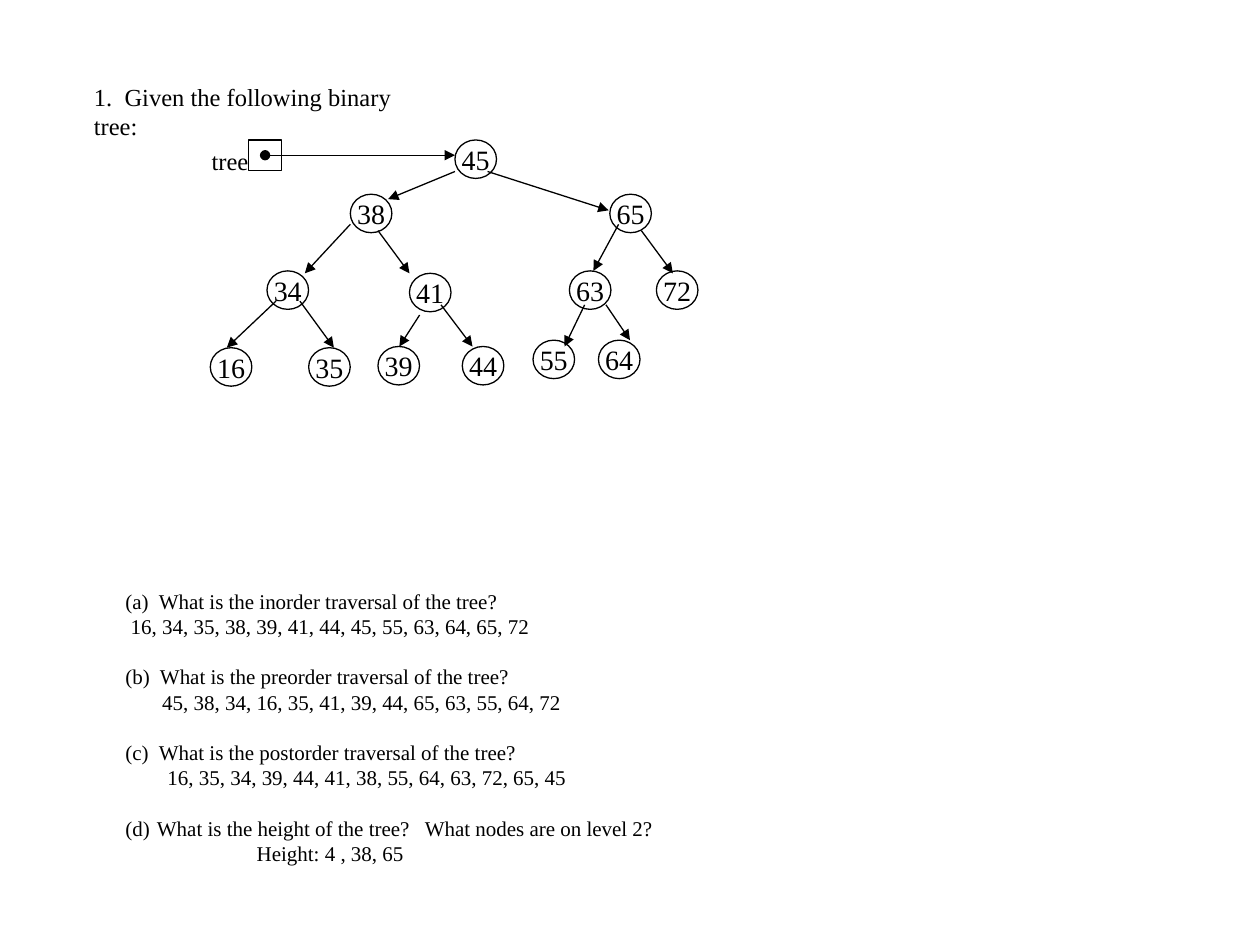
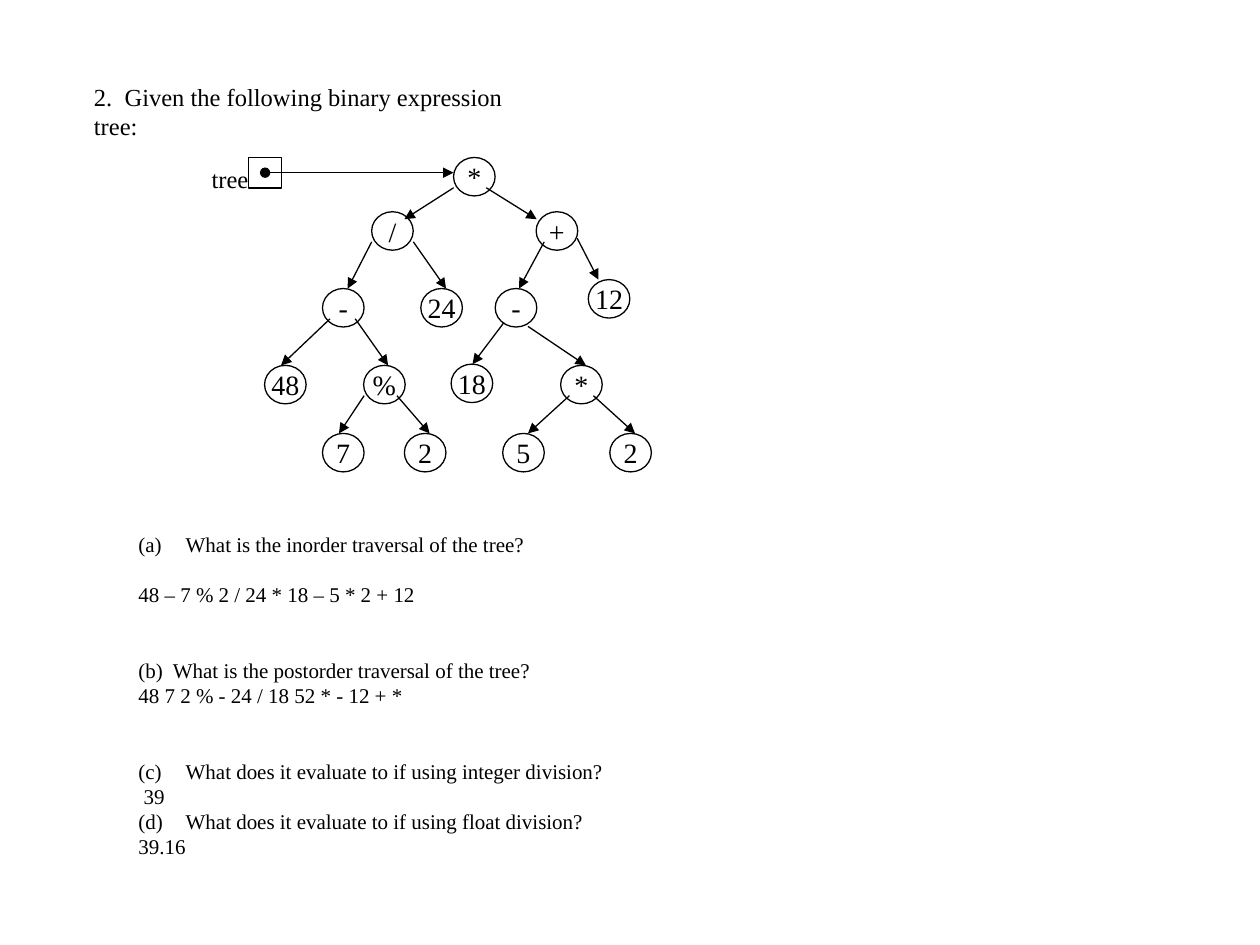
"""Two exercise slides, each with a binary tree and questions about it."""
from dataclasses import dataclass

from lxml import etree
from pptx import Presentation
from pptx.dml.color import RGBColor
from pptx.enum.shapes import MSO_CONNECTOR, MSO_SHAPE
from pptx.enum.text import MSO_ANCHOR, PP_ALIGN
from pptx.oxml.ns import qn
from pptx.util import Pt

BLACK = RGBColor(0, 0, 0)
FONT = "Times New Roman"
TITLE_SIZE, BODY_SIZE, NODE_SIZE = 14, 12, 16
LINE_WIDTH = 0.75
NODE_WIDTH, NODE_HEIGHT = 23.76, 22
BLANK_LINE = 14.4
BLANK_LAYOUT = 6
OVAL, RECTANGLE = MSO_SHAPE.OVAL, MSO_SHAPE.RECTANGLE
STRAIGHT = MSO_CONNECTOR.STRAIGHT
MIDDLE, CENTER = MSO_ANCHOR.MIDDLE, PP_ALIGN.CENTER


@dataclass
class Line:
    """A line of text: space above, left indent and optional list number."""
    text: str
    above: float = 0
    indent: float = 0
    number: int = 0


# Each node: label, left, top, arrow from its parent (x, y, x, y)
SEARCH_TREE = [
    ("45", 260, 80, None),
    ("38", 200.2, 111, (260, 98, 221.8, 113.8)),
    ("65", 348.5, 111, (278.6, 98, 347.8, 120.2)),
    ("34", 152.6, 154.8, (200.2, 128.2, 174.2, 156.2)),
    ("41", 234, 156.2, (216, 131.8, 234, 156.2)),
    ("63", 325.4, 154.8, (353.5, 128.2, 339.1, 154.8)),
    ("72", 375.1, 154.8, (366.5, 131.8, 384.5, 156.2)),
    ("16", 120.2, 198.7, (157.7, 172.1, 129.6, 198.7)),
    ("35", 176.4, 198.7, (171.4, 172.1, 190.8, 198.7)),
    ("39", 216, 198, (239.8, 180, 228.2, 198)),
    ("44", 264.2, 198, (252, 174.2, 270, 198)),
    ("55", 304.6, 194.4, (334.1, 174.2, 322.6, 198)),
    ("64", 342, 194.4, (346.3, 174.2, 360, 194.4)),
]
EXPRESSION_TREE = [
    ("*", 259.2, 90, None),
    ("/", 212.4, 121, (259.2, 107.3, 231.1, 125.3)),
    ("+", 306.4, 121, (277.9, 107.3, 306.7, 125.3)),
    ("-", 184.3, 164.9, (212.4, 138.2, 198.7, 164.9)),
    ("24", 240.5, 164.9, (236.2, 138.2, 254.9, 164.9)),
    ("-", 283, 164.9, (311, 138.2, 296.6, 164.9)),
    ("12", 336.2, 159.8, (329.8, 136.1, 342, 159.8)),
    ("48", 151.2, 208.8, (188.6, 182.2, 160.6, 208.8)),
    ("%", 207.8, 208.8, (203, 182.2, 221.8, 208.8)),
    ("18", 257.8, 208.1, (288, 184.3, 270, 208.1)),
    ("*", 320.4, 208.8, (301.7, 186.5, 334.8, 208.8)),
    ("7", 184.3, 247.7, (208.1, 226.1, 193.7, 247.7)),
    ("2", 231.1, 247.7, (226.8, 226.1, 245.5, 247.7)),
    ("5", 287.3, 247.7, (325.4, 226.1, 301.7, 247.7)),
    ("2", 348.5, 247.7, (339.1, 226.1, 362.9, 247.7)),
]
SEARCH_QUESTIONS = [
    Line("(a)  What is the inorder traversal of the tree?"),
    Line("16, 34, 35, 38, 39, 41, 44, 45, 55, 63, 64, 65, 72", indent=3),
    Line("(b)  What is the preorder traversal of the tree?", BLANK_LINE),
    Line("45, 38, 34, 16, 35, 41, 39, 44, 65, 63, 55, 64, 72", indent=21),
    Line("(c)  What is the postorder traversal of the tree?", BLANK_LINE),
    Line("16, 35, 34, 39, 44, 41, 38, 55, 64, 63, 72, 65, 45", indent=24),
    Line("What is the height of the tree?   What nodes are on level 2?",
         BLANK_LINE, 18, 4),
    Line("Height: 4 , 38, 65", indent=75),
]
EXPRESSION_QUESTIONS = [
    Line("What is the inorder traversal of the tree?", 0, 27, 1),
    Line("48 – 7 % 2 / 24 * 18 – 5 * 2 + 12", BLANK_LINE),
    Line("(b)  What is the postorder traversal of the tree?", 2 * BLANK_LINE),
    Line("48 7 2 % - 24 / 18 52 * - 12 + *"),
    Line("What does it evaluate to if using integer division?",
         2 * BLANK_LINE, 27, 3),
    Line("39", indent=3),
    Line("What does it evaluate to if using float division?", 0, 27, 4),
    Line("39.16"),
]


def set_font(paragraph, size):
    """Give a paragraph the shared font and colour."""
    paragraph.font.name = FONT
    paragraph.font.size = Pt(size)
    paragraph.font.color.rgb = BLACK


def format_line(paragraph, line):
    """Apply the indent, spacing and list number of a line."""
    properties = paragraph._p.get_or_add_pPr()
    if line.indent:
        properties.set("marL", str(Pt(line.indent)))
    if line.number:
        properties.set("indent", str(-Pt(line.indent)))
        etree.SubElement(properties, qn("a:buAutoNum"),
                         type="alphaLcParenBoth", startAt=str(line.number))
    if line.above:
        paragraph.space_before = Pt(line.above)


def add_text(slide, box, lines, size, wrap=True):
    """Add a text box with one paragraph for each line."""
    frame = slide.shapes.add_textbox(*map(Pt, box)).text_frame
    frame.word_wrap = wrap
    for index, line in enumerate(lines):
        paragraph = frame.add_paragraph() if index else frame.paragraphs[0]
        paragraph.text = line.text
        format_line(paragraph, line)
        set_font(paragraph, size)


def add_outline(slide, kind, box):
    """Add an unfilled shape with a thin black line."""
    shape = slide.shapes.add_shape(kind, *map(Pt, box))
    shape.shadow.inherit = False
    shape.fill.background()
    shape.line.color.rgb = BLACK
    shape.line.width = Pt(LINE_WIDTH)
    return shape


def add_node(slide, label, left, top):
    """Add a round tree node with a centred label."""
    shape = add_outline(slide, OVAL, (left, top, NODE_WIDTH, NODE_HEIGHT))
    frame = shape.text_frame
    frame.word_wrap = False
    frame.vertical_anchor = MIDDLE
    paragraph = frame.paragraphs[0]
    paragraph.text = label
    paragraph.alignment = CENTER
    set_font(paragraph, NODE_SIZE)


def add_arrow(slide, ends, dot=False):
    """Add an arrow, with a dot at its start if asked."""
    connector = slide.shapes.add_connector(STRAIGHT, *map(Pt, ends))
    connector.line.color.rgb = BLACK
    connector.line.width = Pt(LINE_WIDTH)
    line = connector.line._get_or_add_ln()
    if dot:
        etree.SubElement(line, qn("a:headEnd"), type="oval")
    etree.SubElement(line, qn("a:tailEnd"), type="triangle")
    etree.SubElement(connector._element.spPr, qn("a:effectLst"))


def add_tree(slide, nodes):
    """Draw the nodes, their arrows and the pointer to the root."""
    for label, left, top, arrow in nodes:
        add_node(slide, label, left, top)
        if arrow:
            add_arrow(slide, arrow)
    _, root_left, root_top, _ = nodes[0]
    middle = root_top + 8.7
    add_outline(slide, RECTANGLE, (142.2, root_top, 18.7, 17.4))
    add_text(slide, (113.8, root_top, 35.3, 23.8), [Line("tree")],
             TITLE_SIZE, wrap=False)
    add_arrow(slide, (151.5, middle, root_left, middle), dot=True)


def add_exercise(presentation, title, title_width, nodes, questions, box):
    """Add a slide with a title, a tree and its questions."""
    slide = presentation.slides.add_slide(
        presentation.slide_layouts[BLANK_LAYOUT])
    add_text(slide, (46.6, 43.2, title_width, 23.8), [Line(title)], TITLE_SIZE)
    add_text(slide, box, questions, BODY_SIZE)
    add_tree(slide, nodes)


def main():
    """Build and save both exercises."""
    presentation = Presentation()
    presentation.slide_width, presentation.slide_height = Pt(720), Pt(540)
    add_exercise(presentation, "1.  Given the following binary tree:", 208,
                 SEARCH_TREE, SEARCH_QUESTIONS, (64.6, 332.6, 320.4, 167))
    add_exercise(presentation,
                 "2.  Given the following binary expression tree:", 270,
                 EXPRESSION_TREE, EXPRESSION_QUESTIONS, (72, 300.2, 284, 225))
    presentation.save("out.pptx")


main()
